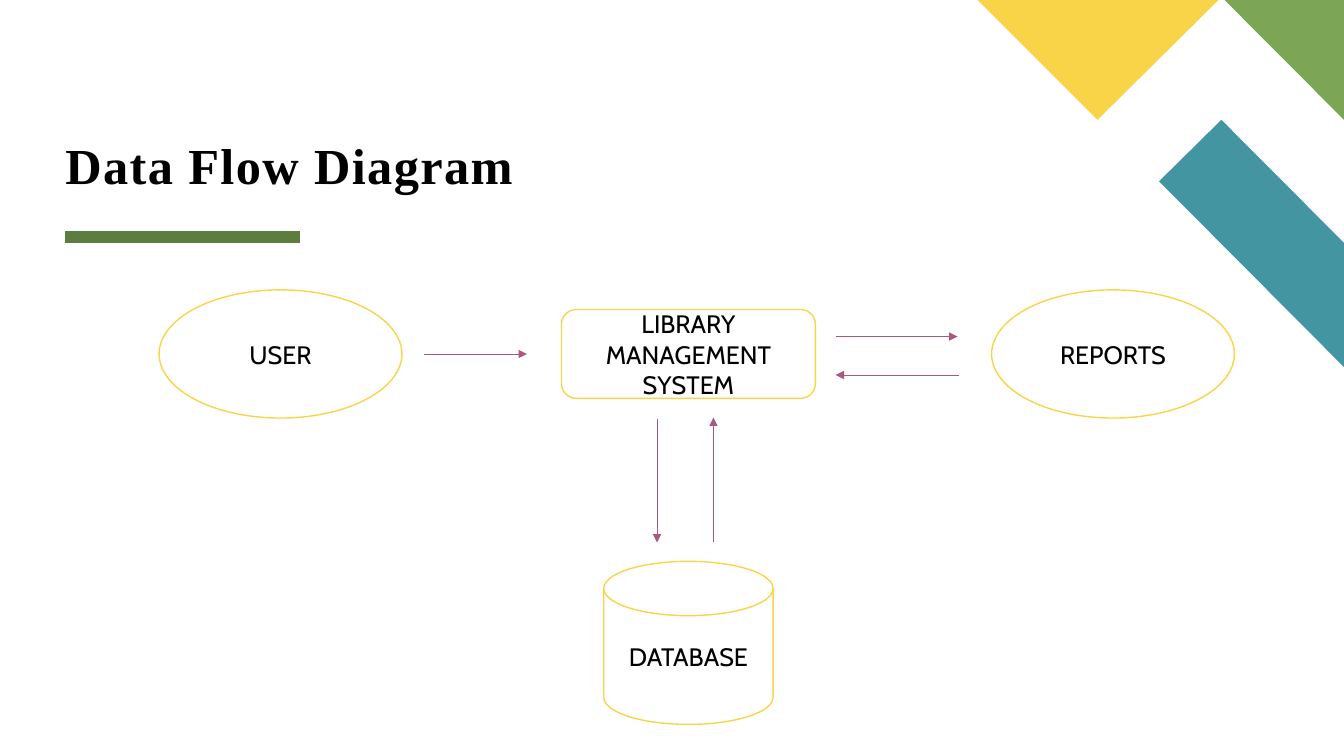
"""Build the data flow diagram slide of a library management system."""
import pptx
import pptx.dml.color
import pptx.enum.shapes
import pptx.enum.text
import pptx.oxml
import pptx.oxml.ns
import pptx.util

Cm = pptx.util.Cm
Pt = pptx.util.Pt
SHAPES = pptx.enum.shapes.MSO_SHAPE
ANCHOR = pptx.enum.text.MSO_ANCHOR

WIDTH, HEIGHT = 33.87, 19.05
YELLOW, GREEN, TEAL = "F9D448", "7CA655", "4495A2"
DARK_GREEN, PLUM, BLACK, WHITE = "5D7D40", "AA5881", "000000", "FFFFFF"

CORNER_PIECES = [
    (TEAL, [(WIDTH, 9.25), (WIDTH, 6.12), (30.78, 3.02), (29.21, 4.57)]),
    (GREEN, [(WIDTH, 3.02), (WIDTH, 0), (30.86, 0)]),
    (YELLOW, [(24.64, 0), (27.66, 3.02), (30.71, 0)]),
]
TITLE = "Data Flow Diagram"
TITLE_BOX = (1.65, 0.76, 27.15, 4.14)
UNDERLINE = ((1.65, 5.97), (7.57, 5.97))

ROW_Y, SYSTEM_X = 8.92, 17.35
ELLIPSE_SIZE = (6.12, 3.23)
NODES = [
    ("LIBRARY MANAGEMENT SYSTEM", SHAPES.ROUNDED_RECTANGLE, (SYSTEM_X, ROW_Y), (6.4, 2.24)),
    ("REPORTS", SHAPES.OVAL, (28.05, ROW_Y), ELLIPSE_SIZE),
    ("USER", SHAPES.OVAL, (7.07, ROW_Y), ELLIPSE_SIZE),
    ("DATABASE", SHAPES.FLOWCHART_MAGNETIC_DISK, (SYSTEM_X, 16.2), (4.27, 4.11)),
]
ARROWS = [
    ((10.69, ROW_Y), (13.28, ROW_Y)),
    ((21.06, 8.48), (24.13, 8.48)),
    ((24.16, 9.45), (21.06, 9.45)),
    ((17.98, 13.67), (17.98, 10.52)),
    ((16.56, 10.57), (16.56, 13.67)),
]


def color(hex_string):
    return pptx.dml.color.RGBColor.from_string(hex_string)


def fill_shape(shape, hex_string):
    shape.shadow.inherit = False
    shape.fill.solid()
    shape.fill.fore_color.rgb = color(hex_string)


def add_text(paragraph, text, font_name, size, bold=False):
    run = paragraph.add_run()
    run.text = text
    run.font.name = font_name
    run.font.size = Pt(size)
    run.font.bold = bold
    run.font.color.rgb = color(BLACK)
    return run


def add_corner_piece(slide, hex_string, points):
    corners = [(Cm(x), Cm(y)) for x, y in points]
    builder = slide.shapes.build_freeform(*corners[0])
    builder.add_line_segments(corners[1:], close=True)
    shape = builder.convert_to_shape()
    fill_shape(shape, hex_string)
    shape.line.fill.background()


def add_line(slide, start, end, hex_string, width, arrow=False):
    ends = [Cm(value) for value in start + end]
    connector = slide.shapes.add_connector(pptx.enum.shapes.MSO_CONNECTOR.STRAIGHT, *ends)
    connector.line.color.rgb = color(hex_string)
    connector.line.width = Pt(width)
    if arrow:
        head = pptx.oxml.parse_xml(f'<a:tailEnd {pptx.oxml.ns.nsdecls("a")} type="triangle"/>')
        connector.line._get_or_add_ln().append(head)
    no_effects = pptx.oxml.parse_xml(f'<a:effectLst {pptx.oxml.ns.nsdecls("a")}/>')
    connector._element.spPr.append(no_effects)


def add_title(slide):
    frame = slide.shapes.add_textbox(*map(Cm, TITLE_BOX)).text_frame
    frame.word_wrap = True
    frame.vertical_anchor = ANCHOR.BOTTOM
    frame.margin_left = frame.margin_right = frame.margin_top = frame.margin_bottom = 0
    paragraph = frame.paragraphs[0]
    paragraph.line_spacing = 0.8
    run = add_text(paragraph, TITLE, "Times New Roman", 36, bold=True)
    run.font._element.set("spc", "100")


def add_node(slide, text, kind, center, size):
    (x, y), (width, height) = center, size
    box = (x - width / 2, y - height / 2, width, height)
    shape = slide.shapes.add_shape(kind, *map(Cm, box))
    fill_shape(shape, WHITE)
    shape.line.color.rgb = color(YELLOW)
    shape.line.width = Pt(1)
    frame = shape.text_frame
    frame.word_wrap = True
    frame.vertical_anchor = ANCHOR.MIDDLE
    paragraph = frame.paragraphs[0]
    paragraph.alignment = pptx.enum.text.PP_ALIGN.CENTER
    add_text(paragraph, text, "Cabin", 18)


def main():
    presentation = pptx.Presentation()
    presentation.slide_width = Cm(WIDTH)
    presentation.slide_height = Cm(HEIGHT)
    slide = presentation.slides.add_slide(presentation.slide_layouts[6])
    for hex_string, points in CORNER_PIECES:
        add_corner_piece(slide, hex_string, points)
    add_line(slide, *UNDERLINE, DARK_GREEN, 8)
    add_title(slide)
    for node in NODES:
        add_node(slide, *node)
    for start, end in ARROWS:
        add_line(slide, start, end, PLUM, 0.5, arrow=True)
    presentation.save("out.pptx")


if __name__ == "__main__":
    main()
